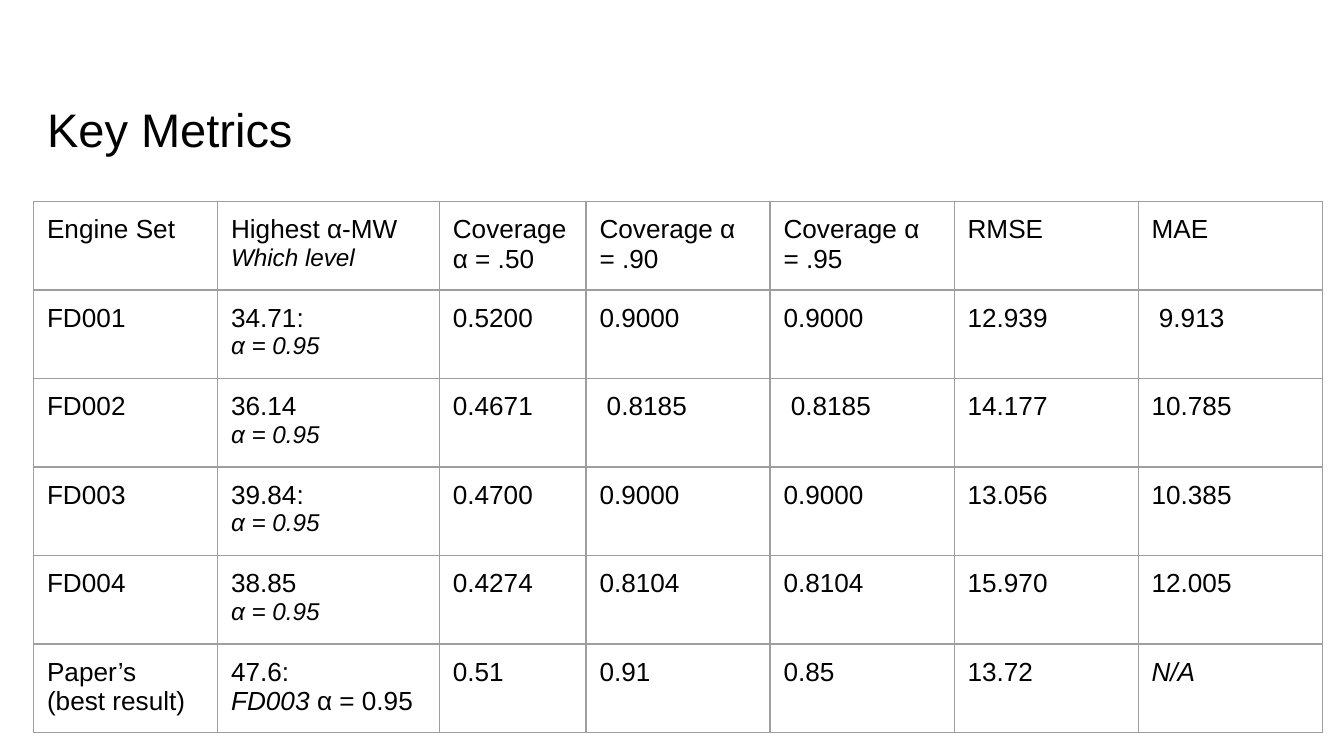
import pptx
import pptx.dml.color
import pptx.enum.text
import pptx.oxml
import pptx.oxml.ns
import pptx.util

Pt = pptx.util.Pt
FONT = "Arial"
COLORS = {"text": "000000", "border": "9E9E9E", "background": "FFFFFF"}
INSET = 7.2
COLUMN_WIDTHS = [98.6, 118.8, 78.6] + [98.6] * 4
ROW_HEIGHT = 47.4

LEVEL = ("α = 0.95", {"size": 13, "italic": True})

# A cell is a text or a list of paragraphs; a paragraph is a text,
# a (text, format) run or a list of such runs.
ROWS = [
    ["Engine Set", ["Highest α-MW", ("Which level", LEVEL[1])],
     "Coverage α = .50", "Coverage α = .90", "Coverage α = .95", "RMSE", "MAE"],
    ["FD001", ["34.71:", LEVEL], "0.5200", "0.9000", "0.9000", "12.939", " 9.913"],
    ["FD002", ["36.14", LEVEL], "0.4671", " 0.8185", " 0.8185", "14.177", "10.785"],
    ["FD003", ["39.84:", LEVEL], "0.4700", "0.9000", "0.9000", "13.056", "10.385"],
    ["FD004", ["38.85", LEVEL], "0.4274", "0.8104", "0.8104", "15.970", "12.005"],
    ["Paper’s\n(best result)".split("\n"),
     ["47.6:", [("FD003 ", {"italic": True}), "α = 0.95"]],
     "0.51", "0.91", "0.85", "13.72", [("N/A", {"italic": True})]],
]


def add_run(paragraph, text, size=14, italic=False, color="text"):
    run = paragraph.add_run()
    run.text = text
    run.font.name = FONT
    run.font.size = Pt(size)
    run.font.italic = italic
    run.font.color.rgb = pptx.dml.color.RGBColor.from_string(COLORS[color])


def set_insets(target, top=INSET, bottom=INSET):
    target.margin_left = target.margin_right = Pt(INSET)
    target.margin_top = Pt(top)
    target.margin_bottom = Pt(bottom)


def add_title(slide, text):
    title = slide.shapes.title
    title.left, title.top, title.width, title.height = Pt(18), Pt(42.5), Pt(605.5), Pt(42.5)
    frame = title.text_frame
    frame.auto_size = pptx.enum.text.MSO_AUTO_SIZE.NONE
    frame.vertical_anchor = pptx.enum.text.MSO_ANCHOR.TOP
    set_insets(frame, top=11.2, bottom=3.2)
    paragraph = frame.paragraphs[0]
    paragraph.alignment = pptx.enum.text.PP_ALIGN.LEFT
    add_run(paragraph, text, size=25.2)


def set_borders(cell, width=0.75):
    properties = cell._tc.get_or_add_tcPr()
    for index, side in enumerate(("lnL", "lnR", "lnT", "lnB")):
        properties.insert(index, pptx.oxml.parse_xml(
            f'<a:{side} {pptx.oxml.ns.nsdecls("a")} w="{Pt(width)}"><a:solidFill>'
            f'<a:srgbClr val="{COLORS["border"]}"/></a:solidFill></a:{side}>'))


def fill_cell(cell, content):
    set_insets(cell)
    cell.fill.background()
    set_borders(cell)
    paragraphs = content if isinstance(content, list) else [content]
    frame = cell.text_frame
    for index, runs in enumerate(paragraphs):
        paragraph = frame.add_paragraph() if index else frame.paragraphs[0]
        for run in runs if isinstance(runs, list) else [runs]:
            text, style = run if isinstance(run, tuple) else (run, {})
            add_run(paragraph, text, **style)


def add_metrics_table(slide, rows):
    frame = slide.shapes.add_table(
        len(rows), len(COLUMN_WIDTHS), Pt(18), Pt(108),
        Pt(sum(COLUMN_WIDTHS)), Pt(ROW_HEIGHT * len(rows)))
    table = frame.table
    table.first_row = table.horz_banding = False
    for column, width in zip(table.columns, COLUMN_WIDTHS):
        column.width = Pt(width)
    for row, contents in zip(table.rows, rows):
        row.height = Pt(ROW_HEIGHT)
        for cell, content in zip(row.cells, contents):
            fill_cell(cell, content)


def main():
    presentation = pptx.Presentation()
    presentation.slide_width, presentation.slide_height = Pt(720), Pt(405)
    slide = presentation.slides.add_slide(presentation.slide_layouts[5])

    # Background
    background = slide.background.fill
    background.solid()
    background.fore_color.rgb = pptx.dml.color.RGBColor.from_string(COLORS["background"])

    # Title and table
    add_title(slide, "Key Metrics")
    add_metrics_table(slide, ROWS)
    presentation.save("out.pptx")


if __name__ == "__main__":
    main()
